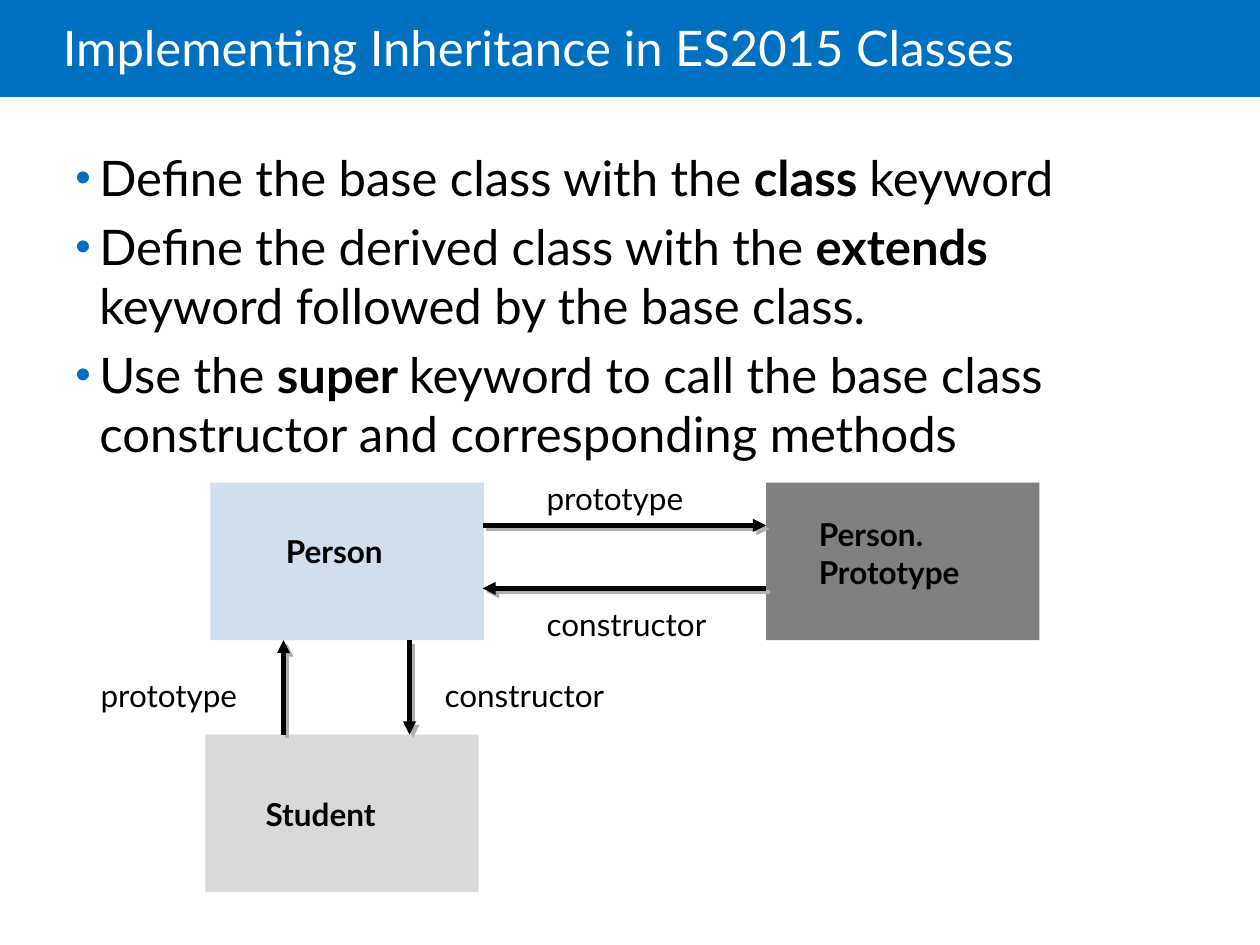
from lxml import etree
from pptx import Presentation
from pptx.dml.color import RGBColor
from pptx.enum.shapes import MSO_CONNECTOR, MSO_SHAPE
from pptx.enum.text import MSO_ANCHOR, MSO_AUTO_SIZE
from pptx.oxml.ns import qn
from pptx.util import Pt

STRAIGHT = MSO_CONNECTOR.STRAIGHT
RECTANGLE = MSO_SHAPE.RECTANGLE
MIDDLE = MSO_ANCHOR.MIDDLE
FIT_SHAPE = MSO_AUTO_SIZE.SHAPE_TO_FIT_TEXT

PX = 9144
FONT = "Lato"
BLUE = RGBColor(0x00, 0x70, 0xC0)
PALE_BLUE = RGBColor(0xD1, 0xDE, 0xEC)
LIGHT_GRAY = RGBColor(0xD9, 0xD9, 0xD9)
DARK_GRAY = RGBColor(0x80, 0x80, 0x80)
SHADOW_GRAY = RGBColor(0xAF, 0xAF, 0xAF)
BLACK = RGBColor(0x00, 0x00, 0x00)
WHITE = RGBColor(0xFF, 0xFF, 0xFF)

TITLE = "Implementing Inheritance in ES2015 Classes"
BULLETS = [
    ("Define the base class with the ", "class ", "keyword"),
    ("Define the derived class with the ", "extends ",
     "keyword followed by the base class."),
    ("Use the ", "super ",
     "keyword to call the base class constructor and corresponding methods"),
]

NODE_SIZE = (217, 125)
NODES = [
    (97, 8, PALE_BLUE),
    (93, 208, LIGHT_GRAY),
    (538, 8, DARK_GRAY),
]
ARROWS = [
    (255, 133, 255, 208),
    (155, 208, 155, 133),
    (313, 42, 538, 42),
    (538, 92, 313, 92),
]
LABELS = [
    (147, 42, 100, "Person", True),
    (131, 251, 113, "Student", True),
    (570, 29, 139, "Person.\nPrototype", True),
    (354, 0, 130, "prototype", False),
    (354, 100, 147, "constructor", False),
    (273, 157, 147, "constructor", False),
    (0, 157, 130, "prototype", False),
]


def set_font(paragraph, size, color):
    paragraph.font.name = FONT
    paragraph.font.size = Pt(size)
    paragraph.font.color.rgb = color


def add_rectangle(slide, left, top, width, height, color):
    shape = slide.shapes.add_shape(
        RECTANGLE, left * PX, top * PX, width * PX, height * PX)
    shape.shadow.inherit = False
    shape.fill.solid()
    shape.fill.fore_color.rgb = color
    shape.line.fill.background()


def add_text_frame(slide, left, top, width, height, wrap=True):
    shape = slide.shapes.add_textbox(
        left * PX, top * PX, width * PX, height * PX)
    shape.text_frame.word_wrap = wrap
    return shape.text_frame


def add_title(slide, left, top, width, height):
    add_rectangle(slide, left, top, width, height, BLUE)
    frame = add_text_frame(slide, left + 50, top, width - 150, height + 4)
    frame.margin_left = 0
    frame.vertical_anchor = MIDDLE
    paragraph = frame.paragraphs[0]
    paragraph.text = TITLE
    paragraph.line_spacing = 0.85
    set_font(paragraph, 28, WHITE)


def add_bullet(paragraph):
    properties = paragraph._p.get_or_add_pPr()
    properties.set("marL", str(19 * PX))
    properties.set("indent", str(-19 * PX))
    color = etree.SubElement(properties, qn("a:buClr"))
    etree.SubElement(color, qn("a:srgbClr"), val=str(BLUE))
    etree.SubElement(properties, qn("a:buSzPct"), val="90000")
    etree.SubElement(properties, qn("a:buFont"), typeface="Arial")
    etree.SubElement(properties, qn("a:buChar"), char="•")


def add_bullets(slide, left, top, width, height):
    frame = add_text_frame(slide, left, top, width, height)
    for index, (before, keyword, after) in enumerate(BULLETS):
        paragraph = frame.add_paragraph() if index else frame.paragraphs[0]
        paragraph.space_before = Pt(6)
        add_bullet(paragraph)
        set_font(paragraph, 28, BLACK)
        paragraph.add_run().text = before
        bold_run = paragraph.add_run()
        bold_run.text = keyword
        bold_run.font.bold = True
        paragraph.add_run().text = after


def add_arrow(slide, start_x, start_y, end_x, end_y):
    arrow = slide.shapes.add_connector(
        STRAIGHT, start_x * PX, start_y * PX, end_x * PX, end_y * PX)
    arrow.line.color.rgb = BLACK
    arrow.line.width = Pt(2.5)
    etree.SubElement(arrow.line._get_or_add_ln(), qn("a:tailEnd"), type="triangle")
    effects = etree.SubElement(arrow._element.spPr, qn("a:effectLst"))
    shadow = etree.SubElement(
        effects, qn("a:outerShdw"), dist=str(Pt(2.8)), dir="2700000",
        algn="ctr", rotWithShape="0")
    etree.SubElement(shadow, qn("a:srgbClr"), val=str(SHADOW_GRAY))


def add_label(slide, left, top, width, text, bold):
    height = 40 + 31 * text.count("\n")
    frame = add_text_frame(slide, left, top, width, height, wrap=False)
    frame.auto_size = FIT_SHAPE
    frame.text = text
    for paragraph in frame.paragraphs:
        set_font(paragraph, 18, BLACK)
        paragraph.font.bold = bold


def add_diagram(slide, left, top):
    for x, y, color in NODES:
        add_rectangle(slide, left + x, top + y, *NODE_SIZE, color)
    for start_x, start_y, end_x, end_y in ARROWS:
        add_arrow(slide, left + start_x, top + start_y, left + end_x, top + end_y)
    for x, y, width, text, bold in LABELS:
        add_label(slide, left + x, top + y, width, text, bold)


def main():
    presentation = Presentation()
    presentation.slide_width = 1000 * PX
    presentation.slide_height = 750 * PX
    slide = presentation.slides.add_slide(presentation.slide_layouts[6])
    add_title(slide, 0, 0, 1000, 77)
    add_bullets(slide, 50, 112, 888, 563)
    add_diagram(slide, 70, 375)
    presentation.save("out.pptx")


if __name__ == "__main__":
    main()
